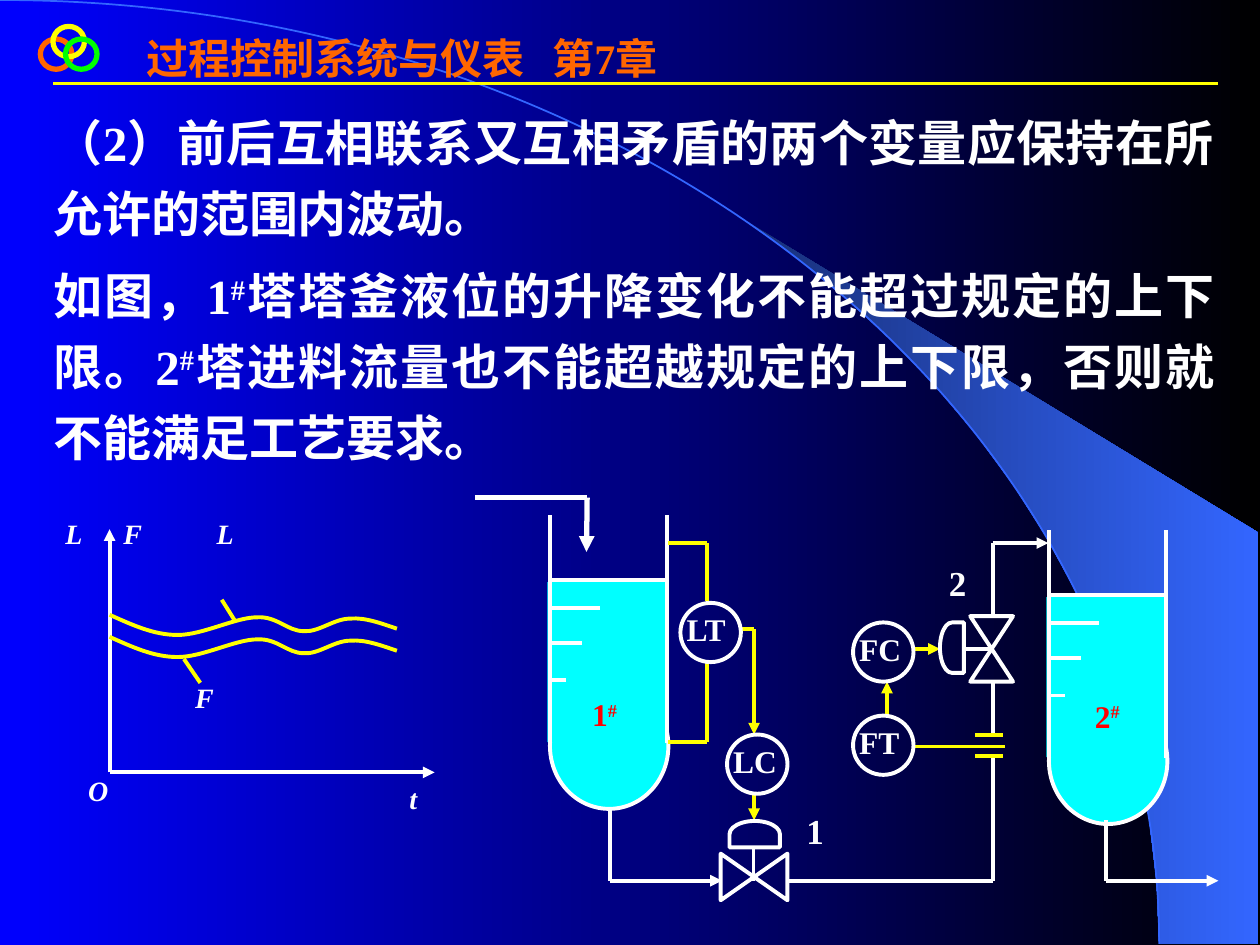
from collections import namedtuple
from itertools import pairwise

from lxml.etree import SubElement
from pptx import Presentation
from pptx.dml.color import RGBColor
from pptx.enum.shapes import MSO_CONNECTOR, MSO_SHAPE
from pptx.enum.text import PP_ALIGN
from pptx.oxml.ns import qn
from pptx.util import Inches, Pt

Box = namedtuple("Box", "col row w h")
CELL = Inches(0.1)
COLORS = {
    "blue": "0000FF", "black": "000000", "band_dark": "182F76", "band": "3366FF",
    "orange": "FF6600", "yellow": "FFFF00", "green": "00FF00", "white": "FFFFFF",
    "liquid": "00FFFF", "red": "FF0000", "tag": "FDFDFD",
}


def rgb(name):
    """Return the named colour."""
    return RGBColor.from_string(COLORS[name])


def emu(*cells):
    """Convert grid cells to slide units."""
    return [round(c * CELL) for c in cells]


def sub(box, col, row, w, h):
    """Return a box placed relative to another box."""
    return Box(box.col + col, box.row + row, w, h)


def gradient(fill, start, end):
    """Fill from left to right with two colours."""
    fill.gradient()
    fill.gradient_angle = 0
    for stop, name in zip(fill.gradient_stops, (start, end)):
        stop.color.rgb = rgb(name)


def style(sp, fill=None, line=None, width=2.25):
    """Set the fill and outline of a shape."""
    sp.shadow.inherit = False
    if fill:
        sp.fill.solid()
        sp.fill.fore_color.rgb = rgb(fill)
    else:
        sp.fill.background()
    if line:
        sp.line.color.rgb = rgb(line)
        sp.line.width = Pt(width)
    else:
        sp.line.fill.background()


def shape(slide, kind, box, rotation=0, **look):
    """Add a preset shape."""
    sp = slide.shapes.add_shape(kind, *emu(*box))
    sp.rotation = rotation
    style(sp, **look)


def route(slide, box, points, color="white", arrow=False, width=2.25):
    """Join points with straight lines, with an optional final arrowhead."""
    for start, end in pairwise(points):
        ends = [v for x, y in (start, end) for v in emu(box.col + x, box.row + y)]
        line = slide.shapes.add_connector(MSO_CONNECTOR.STRAIGHT, *ends)
        line.line.color.rgb = rgb(color)
        line.line.width = Pt(width)
        SubElement(line._element.spPr, qn("a:effectLst"))
    if arrow:
        SubElement(line.line._get_or_add_ln(), qn("a:tailEnd"), type="triangle")


def bezier(p0, p1, p2, p3, start, steps):
    """Sample a cubic curve from start to its end."""
    ts = [start + (1 - start) * i / steps for i in range(steps + 1)]
    return [tuple((1 - t) ** 3 * a + 3 * t * (1 - t) ** 2 * b + 3 * t * t * (1 - t) * c + t ** 3 * d
                  for a, b, c, d in zip(p0, p1, p2, p3)) for t in ts]


def outline(slide, box, points, close=False, **look):
    """Add a freeform through the points."""
    pts = [tuple(emu(box.col + x, box.row + y)) for x, y in points]
    builder = slide.shapes.build_freeform(*pts[0])
    builder.add_line_segments(pts[1:], close=close)
    sp = builder.convert_to_shape()
    style(sp, **look)
    return sp


def curve(slide, box, points, **look):
    """Add a smooth line whose points are knots with two handles between each pair."""
    sp = outline(slide, box, points, **look)
    segments = list(sp._element.iter(qn("a:lnTo")))
    for i in range(0, len(segments), 3):
        cubic = SubElement(segments[i].getparent(), qn("a:cubicBezTo"))
        for segment in segments[i:i + 3]:
            cubic.append(segment[0])
            segment.getparent().remove(segment)


def write(slide, box, paras, size, color="white", italic=False, align=PP_ALIGN.JUSTIFY,
          spacing=1.2, before=0, tab=None, wrap=True):
    """Add text in which each # is raised."""
    tf = slide.shapes.add_textbox(*emu(*box)).text_frame
    tf.word_wrap = wrap
    for i, text in enumerate(paras):
        p = tf.paragraphs[0] if i == 0 else tf.add_paragraph()
        p.alignment = align
        p.line_spacing = spacing
        if i:
            p.space_before = Pt(before)
        if tab:
            tabs = SubElement(p._p.get_or_add_pPr(), qn("a:tabLst"))
            SubElement(tabs, qn("a:tab"), pos=str(emu(tab)[0]), algn="l")
        for part in text.replace("#", "|#|").split("|"):
            if not part:
                continue
            r = p.add_run()
            r.text = part
            r.font.size, r.font.bold, r.font.italic = Pt(size), True, italic
            r.font.color.rgb = rgb(color)
            r.font.name = "Times New Roman"
            rPr = r._r.get_or_add_rPr()
            SubElement(rPr, qn("a:ea"), typeface="Noto Sans CJK SC")
            if part == "#":
                rPr.set("baseline", "30000")


def backdrop(slide, box):
    """Draw the gradient, the diagonal band and the large arc."""
    gradient(slide.background.fill, "blue", "black")
    arc = (0, 0), (50.8, 0), (92, 33.5), (92, box.h)
    band = bezier(*arc, start=0.44, steps=14) + [(box.w, box.h), (box.w, 42.3)]
    gradient(outline(slide, box, band, close=True).fill, "band_dark", "band")
    curve(slide, box, arc, line="band", width=1)


def header(slide, box):
    """Draw the rings, the chapter title and the rule."""
    for col, row, color in ((0, 1, "orange"), (1, 0, "yellow"), (2, 1, "green")):
        shape(slide, MSO_SHAPE.OVAL, sub(box, col, row, 2.5, 2.4), line=color, width=3)
    write(slide, sub(box, 7.45, 0, 44.9, 9), ["过程控制系统与仪表\t第7章"], 24, "orange",
          align=PP_ALIGN.LEFT, spacing=1, tab=32.2)
    route(slide, box, [(1, box.h), (box.w, box.h)], "yellow", width=1.5)


def chart_sketch(slide, box):
    """Draw the axes with the level and flow curves."""
    route(slide, box, [(0, box.h), (0, 0)], arrow=True)
    route(slide, box, [(0, box.h), (box.w, box.h)], arrow=True)
    wave = [(0, 0), (1.8, 0.8), (3.5, 1.6), (5.4, 1.6), (7.4, 1.6), (10, 0.2), (11.7, 0.2),
            (13.3, 0.1), (14.1, 1.3), (15.4, 1.3), (16.6, 1.4), (17.8, 0.3), (19.1, 0.3),
            (20.3, 0.2), (21.6, 0.7), (22.8, 1.1)]
    for row in (8.55, 6.8):
        curve(slide, box, [(x, y + row) for x, y in wave], line="yellow")
    route(slide, box, [(8.9, 5.6), (9.9, 7.2)], "yellow")
    route(slide, box, [(5.9, 10.3), (7.2, 12.2)], "yellow")
    for text, col, row, w in (("L\tF", -4.5, -2, 10.5), ("L", 7.5, -2, 4.2), ("F", 5.8, 11, 4.5),
                              ("t", 22.8, 19, 4.2), ("O", -2.7, 18.4, 4.2)):
        tab = 4.6 if "\t" in text else None
        write(slide, sub(box, col, row, w, 4), [text], 16, italic=True, tab=tab)


def tank(slide, box, label, label_col, label_row):
    """Draw an open tank with its liquid and label."""
    shape(slide, MSO_SHAPE.OVAL, sub(box, 0, 13.3, 9.4, 10), fill="liquid", line="white")
    shape(slide, MSO_SHAPE.RECTANGLE, sub(box, -0.2, 5.3, 9.5, 12.7), fill="liquid")
    for col in (0, box.w):
        route(slide, box, [(col, 0), (col, 18.1)])
    for row, length in ((5.15, box.w), (7.35, 3.95), (10.1, 2.55), (13.1, 1.25)):
        route(slide, box, [(0.1, row), (length, row)])
    write(slide, sub(box, label_col, label_row, 6.8, 6.3), [label], 18, "red")


def valve(slide, box, rotation, body, cap):
    """Draw a control valve from its body and its cap."""
    shape(slide, MSO_SHAPE.FLOWCHART_COLLATE, sub(box, *body), rotation, line="white")
    shape(slide, MSO_SHAPE.FLOWCHART_DELAY, sub(box, *cap), rotation, line="white")


def process(slide, box):
    """Draw the two tanks, their piping and both control loops."""
    tank(slide, sub(box, 5.95, 1.4, 9.3, 24.5), "1#", 2.35, 13.2)
    tank(slide, sub(box, 45.55, 2.6, 9.3, 24.5), "2#", 2.65, 12.1)
    for points, arrow in (
        ([(10.7, 24.6), (10.7, 30.4), (19.6, 30.4)], True),
        ([(24.8, 30.4), (41.1, 30.4), (41.1, 20.4)], False),
        ([(41.1, 18.8), (41.1, 14.6)], False),
        ([(41.1, 9.4), (41.1, 3.6), (45.5, 3.6)], True),
        ([(50.1, 25.6), (50.1, 30.4), (59, 30.4)], True),
        ([(22.1, 27.8), (22.1, 30.4)], False),
        ([(38.8, 12), (41.2, 12)], False),
    ):
        route(slide, box, points, arrow=arrow)
    route(slide, box, [(0, 0), (8.9, 0), (8.85, 4.3)], arrow=True, width=3)
    for points, arrow in (
        ([(15.3, 3.6), (18.4, 3.6), (18.4, 8.2)], False),
        ([(18.4, 13.1), (18.4, 19.4), (15.3, 19.4)], False),
        ([(21.1, 10.45), (22.15, 10.45), (22.15, 18.8)], True),
        ([(22.15, 23.6), (22.15, 25.6)], True),
        ([(39.7, 18.85), (41.9, 18.85)], False),
        ([(39.7, 20.5), (41.9, 20.5)], False),
        ([(34.8, 19.75), (42.1, 19.75)], False),
        ([(32.7, 17.4), (32.7, 14.6)], True),
        ([(34.8, 12), (36.9, 12)], True),
    ):
        route(slide, box, points, "yellow", arrow)
    valve(slide, box, 270, (20.3, 27.45, 3.7, 5.3), (21.15, 24.7, 2.1, 4))
    valve(slide, box, 180, (39.3, 9.4, 3.4, 5.2), (36.9, 9.9, 1.9, 4))
    for text, col, row in (("LT", 16.3, 8.35), ("LC", 20, 18.8), ("FC", 30, 9.9), ("FT", 30, 17.3)):
        shape(slide, MSO_SHAPE.OVAL, sub(box, col, row, 4.8, 4.7), line="white")
        write(slide, sub(box, col - 0.5, row - 0.5, 6.8, 4), [text], 18)
    for text, col, row in (("1", 25.3, 23.6), ("2", 36.6, 3.9)):
        write(slide, sub(box, col, row, 3.4, 5), [text], 20, "tag",
              align=PP_ALIGN.CENTER, wrap=False)


def main():
    """Build and save the slide."""
    prs = Presentation()
    prs.slide_width, prs.slide_height = emu(100, 75)
    slide = prs.slides.add_slide(prs.slide_layouts[6])
    backdrop(slide, Box(0, 0, 99.9, 74.9))
    header(slide, Box(3.2, 2.1, 93.5, 4.55))
    write(slide, Box(3.25, 7.5, 94.15, 30), [
        "（2）前后互相联系又互相矛盾的两个变量应保持在所允许的范围内波动。",
        "如图，1#塔塔釜液位的升降变化不能超过规定的上下限。2#塔进料流量也不能超越规定的上下限，否则就不能满足工艺要求。",
    ], 28, before=7)
    chart_sketch(slide, Box(8.7, 42, 25.8, 19.3))
    process(slide, Box(37.7, 39.5, 59, 33))
    prs.save("out.pptx")


if __name__ == "__main__":
    main()
